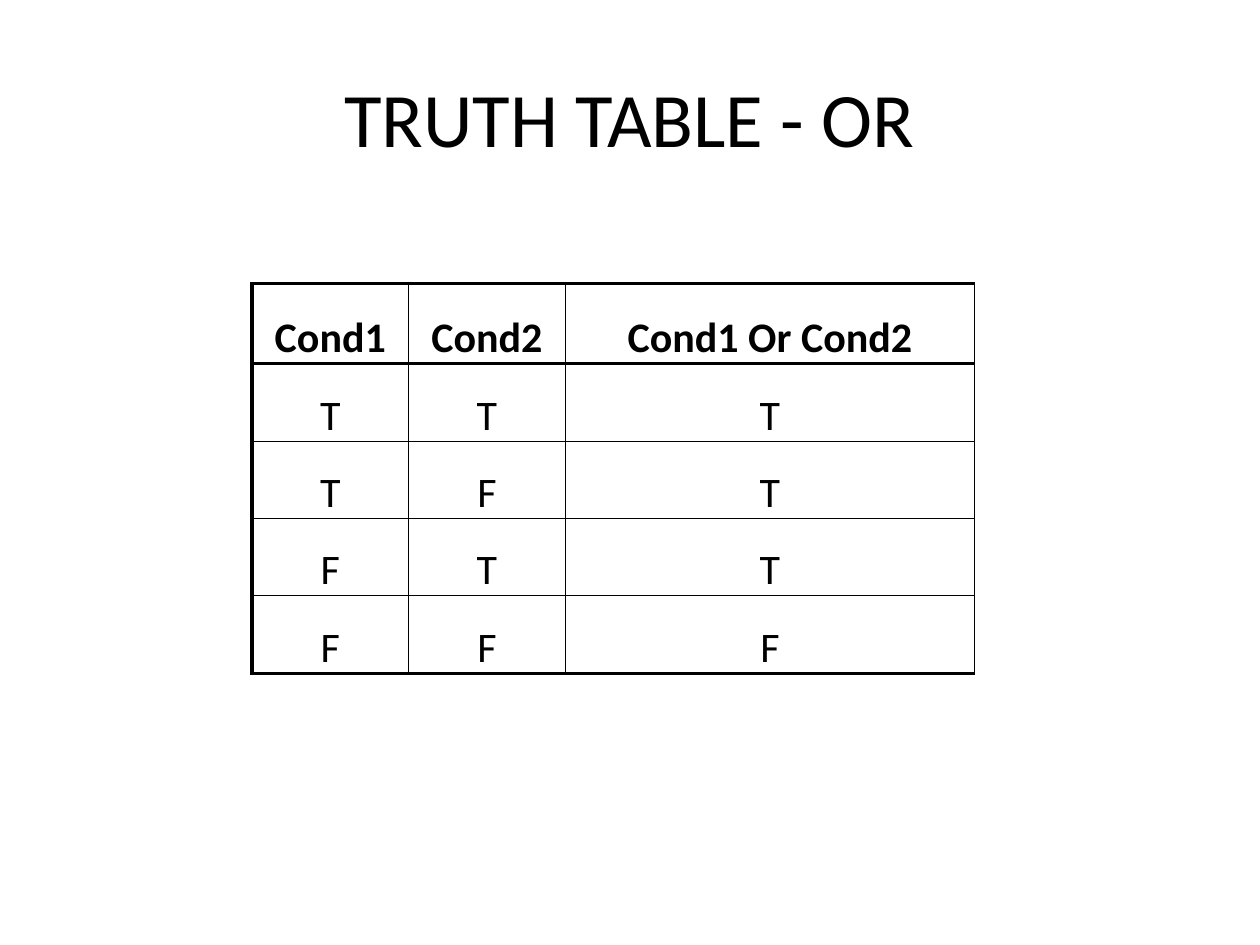
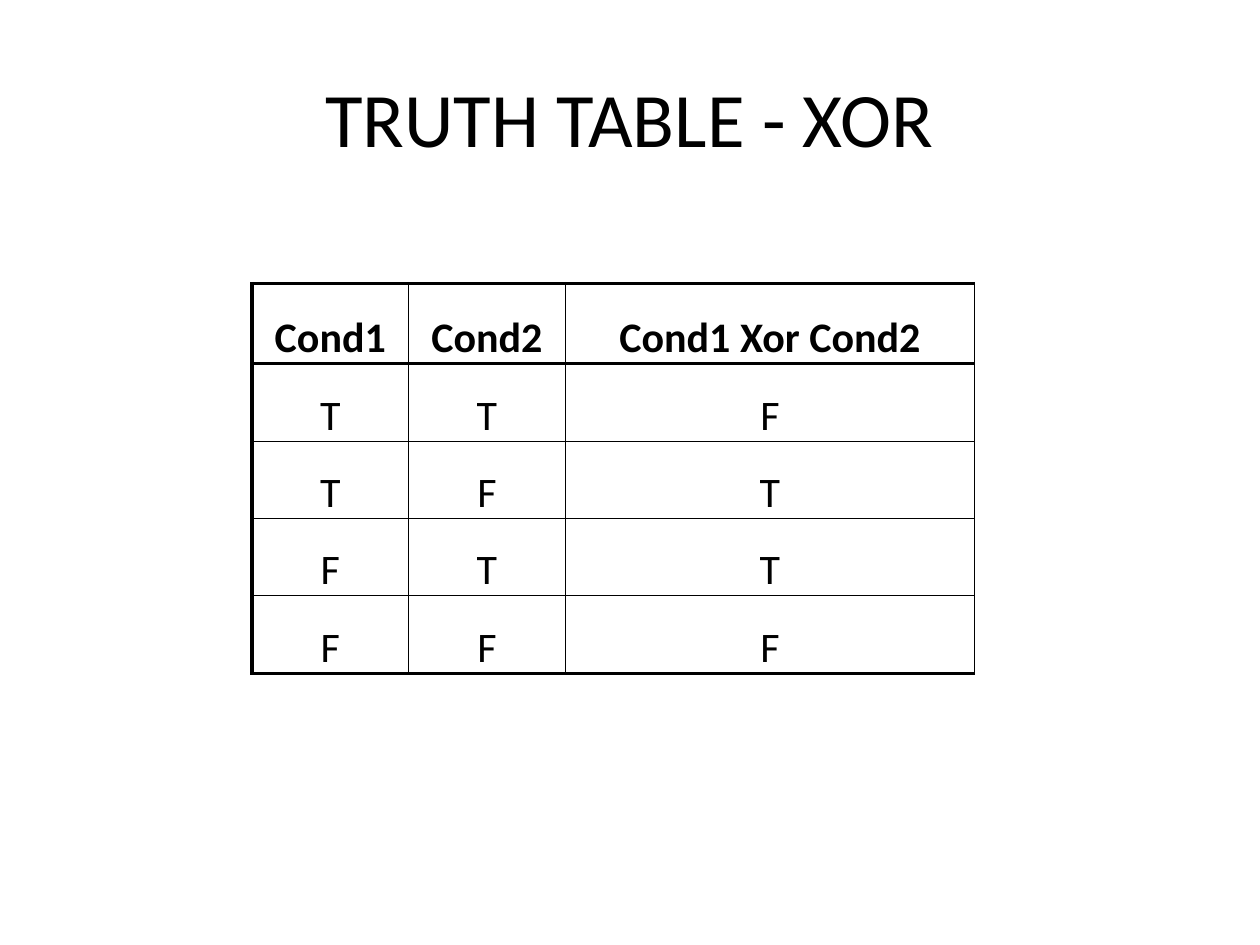
import itertools
import lxml.etree
import pptx
import pptx.dml.color
import pptx.enum.text
import pptx.oxml.ns
import pptx.util

Pt = pptx.util.Pt
ALIGN = pptx.enum.text.PP_ALIGN
ANCHOR = pptx.enum.text.MSO_ANCHOR
FONT = "Calibri"
INK = "000000"
THICK, THIN = 2, 0.5
WIDTHS = [89.5, 89.5, 234]
HEIGHTS = [46, 44.5, 44, 44, 44.5]
GATES = {
    "Or": lambda a, b: a or b,
    "Xor": lambda a, b: a != b,
}


def style(frame, size, bold=False):
    """Centre the text of a frame and set its font."""
    for para in frame.paragraphs:
        para.alignment = ALIGN.CENTER
        for run in para.runs:
            run.font.name = FONT
            run.font.size = Pt(size)
            run.font.bold = bold
            run.font.color.rgb = pptx.dml.color.RGBColor.from_string(INK)


def border(cell, side, width):
    """Draw one side (L, R, T or B) of a cell as a solid line."""
    props = cell._tc.get_or_add_tcPr()
    qn = pptx.oxml.ns.qn
    line = lxml.etree.SubElement(props, qn(f"a:ln{side}"), w=str(int(Pt(width))))
    fill = lxml.etree.SubElement(line, qn("a:solidFill"))
    lxml.etree.SubElement(fill, qn("a:srgbClr"), val=INK)


deck = pptx.Presentation()
deck.slide_width, deck.slide_height = Pt(720), Pt(540)

for gate, rule in GATES.items():
    slide = deck.slides.add_slide(deck.slide_layouts[6])

    title = slide.shapes.add_textbox(Pt(36), Pt(21.6), Pt(648), Pt(90)).text_frame
    title.word_wrap = True
    title.vertical_anchor = ANCHOR.MIDDLE
    title.text = f"TRUTH TABLE - {gate.upper()}"
    style(title, 44)

    rows = [["Cond1", "Cond2", f"Cond1 {gate} Cond2"]]
    for a, b in itertools.product([True, False], repeat=2):
        rows.append(["T" if value else "F" for value in (a, b, rule(a, b))])

    grid = slide.shapes.add_table(
        len(rows), len(WIDTHS), Pt(144), Pt(162), Pt(sum(WIDTHS)), Pt(sum(HEIGHTS))
    ).table
    grid.horz_banding = False
    grid.first_row = False
    for col, width in zip(grid.columns, WIDTHS):
        col.width = Pt(width)
    for row, height in zip(grid.rows, HEIGHTS):
        row.height = Pt(height)

    last = len(rows) - 1
    for r, row in enumerate(rows):
        for c, text in enumerate(row):
            cell = grid.cell(r, c)
            cell.text_frame.text = text
            style(cell.text_frame, 24, bold=r == 0)
            cell.vertical_anchor = ANCHOR.BOTTOM
            cell.margin_left = cell.margin_right = cell.margin_top = Pt(0.75)
            cell.margin_bottom = 0
            border(cell, "L", THICK if c == 0 else THIN)
            border(cell, "R", THIN)
            border(cell, "T", THICK if r <= 1 else THIN)
            border(cell, "B", THICK if r in (0, last) else THIN)
            cell.fill.background()

deck.save("out.pptx")
